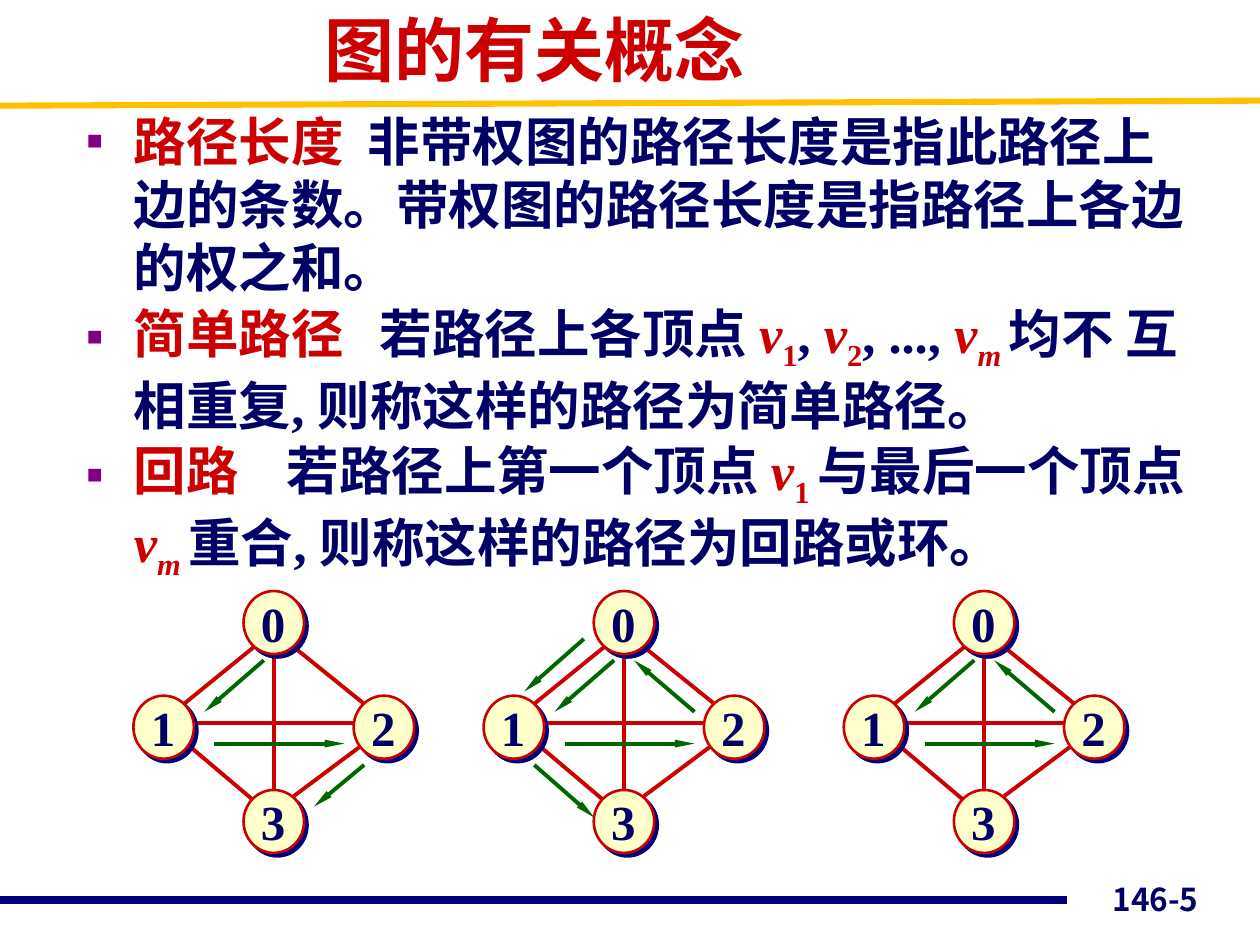
from dataclasses import dataclass
from lxml import etree
from pptx import Presentation
from pptx import util as u
from pptx.dml.color import RGBColor
from pptx.enum import shapes, text
from pptx.oxml.ns import qn

HUES = {"red": "CC0000", "navy": "000066", "bar": "00007D", "gold": "FFC000",
        "cream": "FFFFCC", "green": "006600", "bullet": "800080"}
SERIF, SANS, CJK = "Times New Roman", "Arial", "Noto Sans CJK JP"


@dataclass
class Line:
    x1: float
    y1: float
    x2: float
    y2: float


@dataclass
class Node:
    label: str
    x: float
    y: float


@dataclass
class Graph:
    x: float
    arrows: str


@dataclass
class Run:
    text: str
    hue: str = "navy"
    italic: bool = False
    sub: bool = False


# Graph parts in cm; x is counted from the middle of each graph
EDGES = [Line(-2.01, 14.78, 0, 16.48), Line(0.2, 12.88, 2.02, 14.35),
         Line(1.82, 14.99, 0.4, 16.05), Line(-0.2, 12.88, -2.01, 14.35),
         Line(-1.81, 14.58, 1.82, 14.58), Line(0, 12.95, 0, 16.69)]
NODES = [Node("1", -2.22, 14.66), Node("2", 2.22, 14.66),
         Node("0", 0, 12.55), Node("3", 0, 16.56)]
ARROWS = {"a": Line(-0.2, 13.31, -1.4, 14.35),    # 0 to 1
          "b": Line(-1.2, 14.99, 1.42, 14.99),    # 1 to 2
          "c": Line(1.82, 15.42, 0.81, 16.26),    # 2 to 3
          "d": Line(1.42, 14.35, 0.2, 13.31),     # 2 to 0
          "e": Line(-0.81, 12.88, -2.01, 13.94),  # 0 to 1, outside
          "f": Line(-1.81, 15.42, -0.6, 16.48)}   # 1 to 3
GRAPHS = [Graph(5.52, "abc"), Graph(12.58, "abedf"), Graph(19.84, "abd")]


def var(name: str, index: str, slant: bool = False) -> list[Run]:
    return [Run(name, "red", True), Run(index, "red", slant, True)]


BODY = [
    [Run("路径长度", "red"),
     Run("  非带权图的路径长度是指此路径上边的条数。带权图的路径长度是指路径上各边的权之和。")],
    [Run("简单路径", "red"), Run("   若路径上各顶点 "), *var("v", "1"), Run(", "),
     *var("v", "2"), Run(", ..., "), *var("v", "m ", True),
     Run("均不 互相重复, 则称这样的路径为简单路径。")],
    [Run("回路", "red"), Run("    若路径上第一个顶点 "), *var("v", "1 "),
     Run("与最后一个顶点"), *var("v", "m ", True),
     Run("重合, 则称这样的路径为回路或环。")],
]


def rgb(hue: str) -> RGBColor:
    return RGBColor.from_string(HUES[hue])


def add(root, tag: str, **attrs):
    return etree.SubElement(root, qn(tag), attrs)


def draw_line(slide, line: Line, hue: str, width: float, dx: float = 0, head: bool = False):
    link = slide.shapes.add_connector(
        shapes.MSO_CONNECTOR.STRAIGHT, u.Cm(line.x1 + dx), u.Cm(line.y1),
        u.Cm(line.x2 + dx), u.Cm(line.y2))
    link.line.color.rgb = rgb(hue)
    link.line.width = u.Pt(width)
    props = link._element.spPr
    if head:
        add(props.find(qn("a:ln")), "a:tailEnd", type="triangle", w="sm", len="lg")
    add(props, "a:effectLst")


def draw_disc(slide, node: Node, dx: float):
    wide, high = 1.22, 1.27
    disc = slide.shapes.add_shape(
        shapes.MSO_SHAPE.OVAL, u.Cm(node.x + dx - wide / 2), u.Cm(node.y - high / 2),
        u.Cm(wide), u.Cm(high))
    disc.fill.solid()
    disc.fill.fore_color.rgb = rgb("cream")
    disc.line.color.rgb = rgb("red")
    disc.line.width = u.Pt(1.5)
    disc.shadow.inherit = False
    glow = add(disc._element.spPr.find(qn("a:effectLst")), "a:outerShdw",
               dist=str(u.Pt(2.8)), dir="2700000", algn="ctr", rotWithShape="0")
    add(glow, "a:srgbClr", val=HUES["bar"])


def add_box(slide, x: float, y: float, wide: float, high: float, wrap: bool = True):
    box = slide.shapes.add_textbox(u.Cm(x), u.Cm(y), u.Cm(wide), u.Cm(high))
    box.text_frame.word_wrap = wrap
    return box.text_frame


def set_font(para, face: str, size: float, hue: str):
    font = para.font
    font.name, font.size, font.bold = face, u.Pt(size), True
    font.color.rgb = rgb(hue)


def draw_label(slide, node: Node, dx: float):
    frame = add_box(slide, node.x + dx - 0.51, node.y - 0.72, 1.02, 1.45, wrap=False)
    frame.auto_size = text.MSO_AUTO_SIZE.SHAPE_TO_FIT_TEXT
    frame.text = node.label
    set_font(frame.paragraphs[0], SERIF, 28, "navy")


def draw_graph(slide, graph: Graph):
    for edge in EDGES:
        draw_line(slide, edge, "red", 2.25, graph.x)
    for node in NODES:
        draw_disc(slide, node, graph.x)
    for node in NODES:
        draw_label(slide, node, graph.x)
    for key in graph.arrows:
        draw_line(slide, ARROWS[key], "green", 2.25, graph.x, head=True)


def fill_item(para, runs: list[Run]):
    set_font(para, SERIF, 30, "navy")
    props = para._p.get_or_add_pPr()
    props.set("marL", str(u.Cm(0.95)))
    props.set("indent", str(u.Cm(-0.95)))
    # Spacing and bullet come before the default font
    space, tint, size, face, mark = [
        add(props, tag) for tag in
        ("a:spcBef", "a:buClr", "a:buSzPct", "a:buFont", "a:buChar")]
    add(space, "a:spcPct", val="5000")
    add(tint, "a:srgbClr", val=HUES["bullet"])
    size.set("val", "50000")
    face.set("typeface", SANS)
    mark.set("char", "■")
    props.append(props.find(qn("a:defRPr")))
    for item in runs:
        run = para.add_run()
        run.text = item.text
        run.font.color.rgb = rgb(item.hue)
        run.font.italic = item.italic
        if item.sub:
            run.font._element.set("baseline", "-25000")


def main():
    deck = Presentation()
    deck.slide_width, deck.slide_height = u.Cm(25.4), u.Cm(19.05)
    slide = deck.slides.add_slide(deck.slide_layouts[6])

    # Rules and page number
    draw_line(slide, Line(0, 18.14, 21.51, 18.14), "bar", 4.5)
    draw_line(slide, Line(0, 2.13, 25.4, 2.03), "gold", 3.5)
    page = add_box(slide, 18.49, 17.35, 5.92, 1.27)
    page.vertical_anchor = text.MSO_ANCHOR.BOTTOM
    page.text = "146-5"
    page.paragraphs[0].alignment = text.PP_ALIGN.RIGHT
    set_font(page.paragraphs[0], CJK, 18, "navy")

    # Definitions
    body = add_box(slide, 1.5, 2.08, 22.66, 9.96)
    for i, runs in enumerate(BODY):
        fill_item(body.add_paragraph() if i else body.paragraphs[0], runs)

    # Graphs with their paths
    for graph in GRAPHS:
        draw_graph(slide, graph)

    # Title
    title = add_box(slide, 6.3, 0, 13.89, 1.96)
    title.vertical_anchor = text.MSO_ANCHOR.MIDDLE
    title.text = "图的有关概念"
    set_font(title.paragraphs[0], SANS, 40, "red")

    deck.save("out.pptx")


if __name__ == "__main__":
    main()
